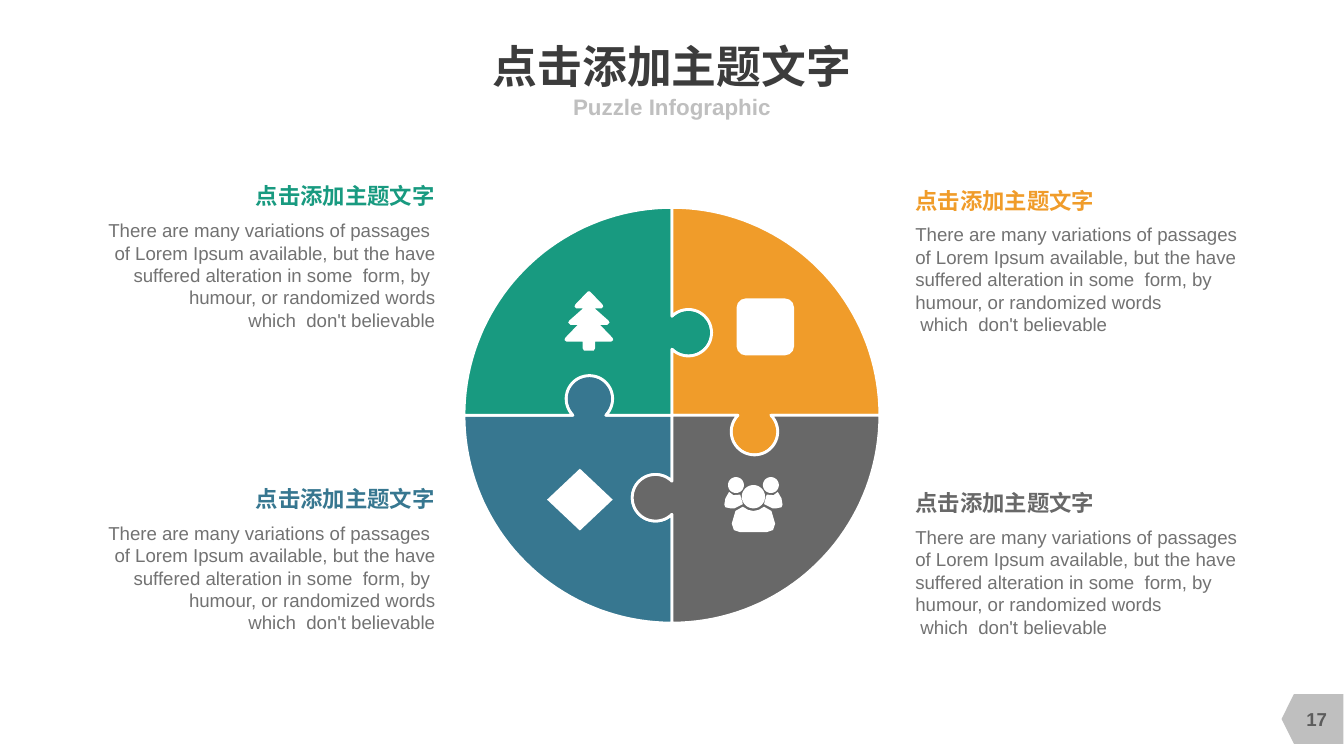
import math
from pptx import Presentation
from pptx import util as u
from pptx.dml.color import RGBColor
from pptx.enum import shapes as sh, text as tx

INK = {"title": "3C3C3C", "pale": "BFBFBF", "body": "727272", "page": "5C5C5C",
       "green": "189A80", "gold": "F09C2A", "gray": "686868", "blue": "377790",
       "white": "FFFFFF"}
HEAD = "点击添加主题文字"
LEAD = "There are many variations of passages"
LINES = ["of Lorem Ipsum available, but the have suffered alteration in some  form, by ",
         "humour, or randomized words", " which  don't believable"]
LEFT, MID, RIGHT = tx.PP_ALIGN.LEFT, tx.PP_ALIGN.CENTER, tx.PP_ALIGN.RIGHT


def cm(*vals):
    return [u.Cm(v) for v in vals]


def paint(shape, ink, edge=None):
    shape.shadow.inherit = False
    shape.fill.solid()
    shape.fill.fore_color.rgb = RGBColor.from_string(INK[ink])
    if edge:
        shape.line.color.rgb = RGBColor.from_string(INK[edge])
        shape.line.width = u.Pt(1.5)
    else:
        shape.line.fill.background()


def style(para, size, ink, bold=False, align=LEFT):
    para.alignment = align
    font = para.font
    font.name, font.size, font.bold = "Arial", u.Pt(size), bold
    font.color.rgb = RGBColor.from_string(INK[ink])


def frame(shape, wrap=True, anchor=tx.MSO_ANCHOR.TOP):
    box = shape.text_frame
    box.margin_left = box.margin_right = box.margin_top = box.margin_bottom = 0
    box.word_wrap, box.vertical_anchor = wrap, anchor
    return box


# Outlines: lists of (x, y) points in cm
def arc(x, y, r, start, end, steps=40):
    angles = [math.radians(start + (end - start) * i / steps) for i in range(steps + 1)]
    return [(x + r * math.cos(a), y + r * math.sin(a)) for a in angles]


def mirror(pts):
    return [(-x, y) for x, y in reversed(pts)]


def turn(pts, times):
    for _ in range(times % 4):
        pts = [(-y, x) for x, y in pts]
    return pts


def outline(slide, x, y, loops, ink, edge=None):
    loops = [[tuple(cm(x + a, y + b)) for a, b in loop] for loop in loops]
    pen = slide.shapes.build_freeform(*loops[0][0], scale=1.0)
    for i, loop in enumerate(loops):
        if i:
            pen.move_to(*loop[0])
        pen.add_line_segments(loop[1:], close=True)
    paint(pen.convert_to_shape(), ink, edge)


# Title and subtitle
def header(slide, x, y, w, h):
    title, sub = slide.shapes.title, slide.placeholders[1]
    parts = [(title, HEAD, 24, "title", y, 0.99, False),
             (sub, "Puzzle Infographic", 12, "pale", y + 0.99, h - 0.99, True)]
    for shape, words, size, ink, top, tall, wrap in parts:
        shape.left, shape.top, shape.width, shape.height = cm(x, top, w, tall)
        box = frame(shape, wrap, tx.MSO_ANCHOR.MIDDLE)
        box.text = words
        para = box.paragraphs[0]
        para.space_before = u.Pt(0)
        style(para, size, ink, True, MID)


# Disc of four equal pieces, each a quarter turn from the last
def puzzle(slide, x, y, size):
    r = size / 2
    out, far, knob = 0.31, 1.56, 0.44
    neck = math.degrees(math.acos(-out / knob))
    tab = arc(out, -far, knob, neck, -neck)
    slot = turn(tab, 3)[::-1]
    piece = [(0, 0)] + tab + arc(0, 0, r, -90, -180) + slot
    for ink, times in [("blue", 3), ("green", 0), ("gold", 1), ("gray", 2)]:
        outline(slide, x + r, y + r, [turn(piece, times)], ink, "white")


# Icons
def tree(slide, x, y):
    half = [(0.02, 0), (0.26, 0.25), (0.27, 0.29), (0.24, 0.32), (0.11, 0.32),
            (0.37, 0.55), (0.39, 0.59), (0.35, 0.63), (0.21, 0.63), (0.45, 0.88),
            (0.46, 0.92), (0.42, 0.95), (0.12, 0.95), (0.12, 1.07), (0.09, 1.12)]
    outline(slide, x, y, [half + mirror(half)], "white")


def people(slide, x, y):
    side = [(-0.46, -0.24), (-0.53, -0.12), (-0.55, 0), (-0.53, 0.05), (-0.43, 0.07),
            (-0.36, 0.07), (-0.2, -0.01), (-0.25, -0.19), (-0.38, -0.18)]
    half = [(0, 0.12), (-0.1, 0.1), (-0.2, 0.04), (-0.34, 0.12), (-0.41, 0.36),
            (-0.37, 0.48), (-0.25, 0.52)]
    face = arc(-0.33, -0.37, 0.15, 0, 360)
    loops = [side, mirror(side), face, mirror(face), half + mirror(half),
             arc(0, -0.15, 0.22, 0, 360)]
    outline(slide, x, y, loops, "white")


def plain(slide, kind, x, y, w, h):
    paint(slide.shapes.add_shape(kind, *cm(x, y, w, h)), "white")


# Heading with a paragraph below it
def note(slide, x, y, w, h, ink, align):
    group = slide.shapes.add_group_shape().shapes
    wide, drop = 3.43, 0.69
    start = x + w - wide if align == RIGHT else x
    body = frame(group.add_textbox(*cm(x, y + drop, w, h - drop)))
    body.text = LEAD + (" " if align == RIGHT else "")
    rest = body.add_paragraph()
    for i, line in enumerate(LINES):
        if i:
            rest.add_line_break()
        rest.add_run().text = line
    for para in body.paragraphs:
        style(para, 10, "body", align=align)
    head = frame(group.add_textbox(*cm(start, y, wide, 0.51)), wrap=False)
    head.text = HEAD
    style(head.paragraphs[0], 12, ink, True, align)


# Page tag at the corner: the shape is turned to point left
def tag(slide, x, y, w, h):
    flag = slide.shapes.add_shape(
        sh.MSO_SHAPE.FLOWCHART_OFFPAGE_CONNECTOR,
        *cm(x + (w - h) / 2, y + (h - w) / 2, h, w))
    flag.rotation = 90
    paint(flag, "pale")
    box = frame(slide.shapes.add_textbox(*cm(x + 0.08, y, w, h)),
                anchor=tx.MSO_ANCHOR.MIDDLE)
    box.text = "17"
    style(box.paragraphs[0], 10, "page", True, MID)


def main():
    deck = Presentation()
    deck.slide_width, deck.slide_height = cm(25.4, 14.29)
    slide = deck.slides.add_slide(deck.slide_layouts[2])
    header(slide, 4.87, 0.74, 15.66, 1.55)
    puzzle(slide, 8.77, 3.92, 7.86)
    notes = [(17.3, 9.25, "gray", LEFT), (17.3, 3.53, "gold", LEFT),
             (1.9, 3.45, "green", RIGHT), (1.9, 9.17, "blue", RIGHT)]
    for x, y, ink, align in notes:
        note(slide, x, y, 6.32, 2.82, ink, align)
    tree(slide, 11.13, 5.51)
    plain(slide, sh.MSO_SHAPE.DIAMOND, 10.34, 8.86, 1.24, 1.17)
    plain(slide, sh.MSO_SHAPE.ROUNDED_RECTANGLE, 13.92, 5.64, 1.09, 1.08)
    people(slide, 14.24, 9.54)
    tag(slide, 24.22, 13.12, 1.17, 0.94)
    deck.save("out.pptx")


if __name__ == "__main__":
    main()
